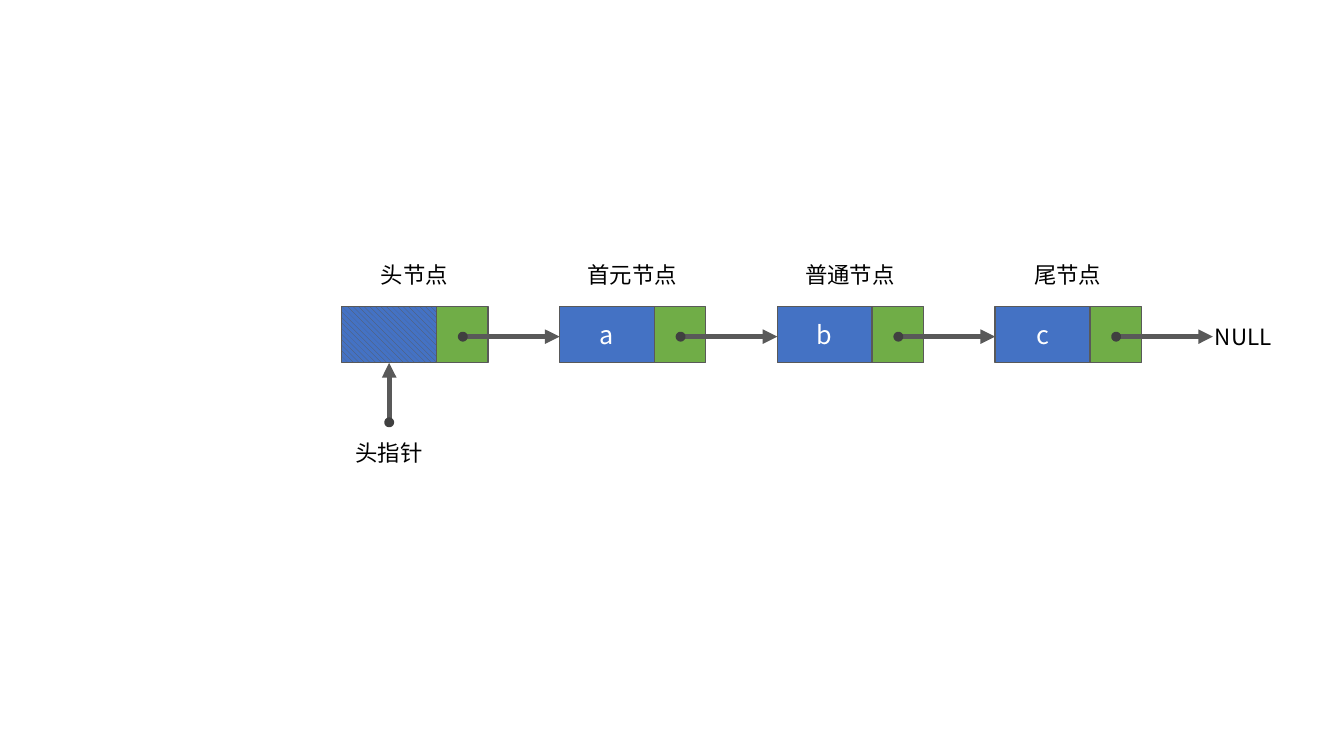
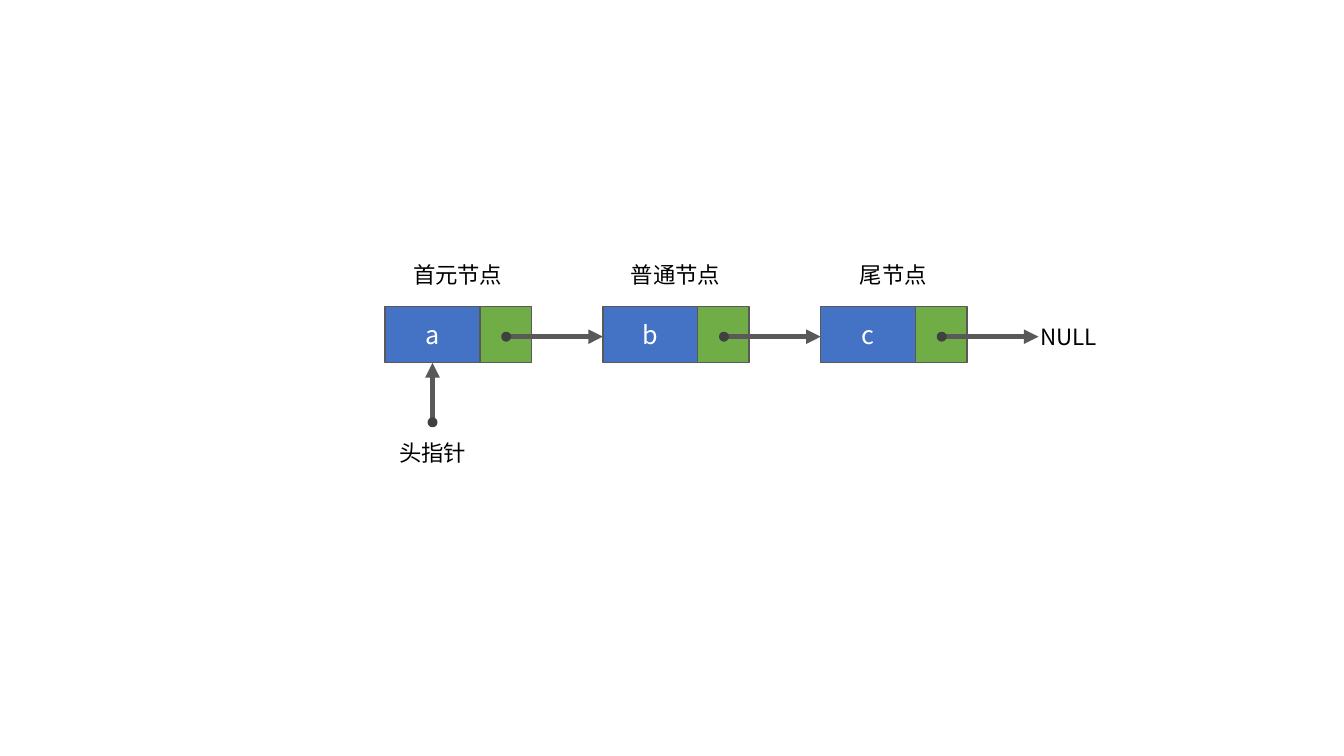
from lxml.etree import SubElement
from pptx import Presentation
from pptx.dml.color import RGBColor
from pptx.enum.dml import MSO_PATTERN
from pptx.enum.shapes import MSO_CONNECTOR, MSO_SHAPE
from pptx.enum.text import MSO_ANCHOR, MSO_AUTO_SIZE, PP_ALIGN
from pptx.oxml.ns import qn
from pptx.util import Inches, Pt

COLORS = {
    "data": "4472C4",
    "next": "70AD47",
    "line": "595959",
    "dot": "404040",
    "text": "000000",
    "value": "FFFFFF",
}
FONT = "Noto Sans CJK SC"

PITCH = 2.16
NODE_TOP, NODE_HEIGHT = 3.04, 0.56
DATA_WIDTH, NEXT_WIDTH = 0.94, 0.51
LINK_Y = 3.34
LABEL_TOP, LABEL_HEIGHT = 2.54, 0.37
DOT = 0.05


def color(key):
    """Return the named palette colour."""
    return RGBColor.from_string(COLORS[key])


def write(frame, text, size=16, fill="text", anchor=MSO_ANCHOR.TOP):
    """Write one centred line of formatted text into a text frame."""
    frame.word_wrap = True
    frame.vertical_anchor = anchor
    line = frame.paragraphs[0]
    line.alignment = PP_ALIGN.CENTER
    run = line.add_run()
    run.text = text
    run.font.size = Pt(size)
    run.font.name = FONT
    run.font.color.rgb = color(fill)
    SubElement(run.font._element, qn("a:ea")).set("typeface", FONT)


class ListDiagram:
    """Draws linked lists, one on each slide."""

    def __init__(self, deck):
        """Keep the presentation that receives the slides."""
        self.deck = deck
        self.slide = None

    def shape(self, kind, left, top, width, height, fill, line="line", weight=1):
        """Add a filled, outlined shape without a shadow."""
        outline = self.slide.shapes.add_shape(
            kind, Inches(left), Inches(top), Inches(width), Inches(height))
        outline.shadow.inherit = False
        outline.fill.solid()
        outline.fill.fore_color.rgb = color(fill)
        outline.line.color.rgb = color(line)
        outline.line.width = Pt(weight)
        return outline

    def label(self, center, top, text):
        """Add a caption centred on a horizontal position."""
        width = 0.26 * (min(len(text), 4) + 1) if text != "NULL" else 1.04
        caption = self.slide.shapes.add_textbox(
            Inches(center - width / 2), Inches(top), Inches(width), Inches(LABEL_HEIGHT))
        write(caption.text_frame, text)
        caption.text_frame.auto_size = MSO_AUTO_SIZE.SHAPE_TO_FIT_TEXT

    def pointer(self, x1, y1, x2, y2):
        """Add an arrow that starts with a round dot."""
        arrow = self.slide.shapes.add_connector(
            MSO_CONNECTOR.STRAIGHT, Inches(x1), Inches(y1), Inches(x2), Inches(y2))
        arrow.line.color.rgb = color("line")
        arrow.line.width = Pt(3.5)
        SubElement(arrow.line._get_or_add_ln(), qn("a:tailEnd")).set("type", "triangle")
        SubElement(arrow._element.spPr, qn("a:effectLst"))
        self.shape(MSO_SHAPE.OVAL, x1 - DOT / 2, y1 - DOT / 2, DOT, DOT,
                   "dot", line="dot", weight=3.5)

    def node(self, left, title, value):
        """Add a node: data cell, next cell and caption; no value means hatched."""
        data = self.shape(MSO_SHAPE.RECTANGLE, left, NODE_TOP,
                          DATA_WIDTH, NODE_HEIGHT, "data")
        if value:
            write(data.text_frame, value, size=18, fill="value", anchor=MSO_ANCHOR.MIDDLE)
        else:
            data.fill.patterned()
            data.fill.pattern = MSO_PATTERN.WIDE_DOWNWARD_DIAGONAL
            data.fill.fore_color.rgb = color("line")
            data.fill.back_color.rgb = color("data")
        self.shape(MSO_SHAPE.RECTANGLE, left + DATA_WIDTH, NODE_TOP,
                   NEXT_WIDTH, NODE_HEIGHT, "next")
        self.label(left + 0.72, LABEL_TOP, title)

    def linked_list(self, start, nodes):
        """Add a slide with a chain of nodes, its head pointer and NULL."""
        self.slide = self.deck.slides.add_slide(self.deck.slide_layouts[6])
        lefts = [start + PITCH * index for index in range(len(nodes))]
        for left, (title, value) in zip(lefts, nodes):
            self.node(left, title, value)
        for left in lefts:
            self.pointer(left + 1.2, LINK_Y, left + PITCH, LINK_Y)
        head = start + DATA_WIDTH / 2
        self.pointer(head, 4.19, head, NODE_TOP + NODE_HEIGHT)
        self.label(head, 4.31, "头指针")
        self.label(lefts[-1] + PITCH + 0.3, 3.16, "NULL")


deck = Presentation()
deck.slide_width, deck.slide_height = Inches(13.33), Inches(7.5)
diagram = ListDiagram(deck)

element_nodes = [("首元节点", "a"), ("普通节点", "b"), ("尾节点", "c")]
diagram.linked_list(3.39, [("头节点", None)] + element_nodes)
diagram.linked_list(3.82, element_nodes)

deck.save("out.pptx")
